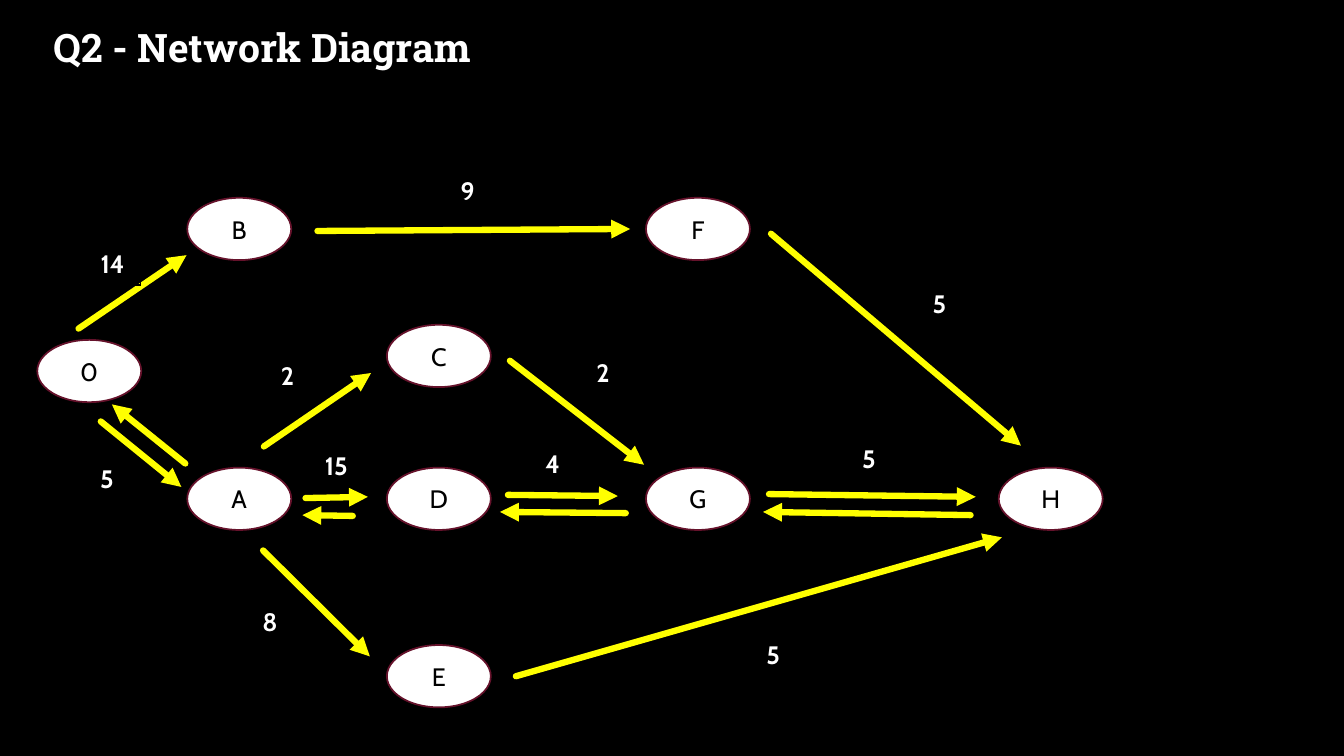
from collections import namedtuple

from lxml.etree import SubElement
from pptx import Presentation
from pptx.dml.color import RGBColor
from pptx.enum.shapes import MSO_CONNECTOR as Connector, MSO_SHAPE as Shape
from pptx.enum.text import MSO_ANCHOR as Anchor, MSO_AUTO_SIZE as AutoSize, PP_ALIGN as Align
from pptx.oxml import parse_xml
from pptx.oxml.ns import nsdecls, qn
from pptx.util import Cm, Pt

COLORS = {
    "background": "000000",
    "node": "FFFFFF",
    "outline": "65122B",
    "node_text": "000000",
    "light_text": "FFFFFF",
    "arrow": "FFFF00",
    "border": "000000",
}
BODY_FONT, TITLE_FONT = "Cabin", "Roboto Slab"
NODE_WIDTH, NODE_HEIGHT = 2.62, 1.57
WEIGHT_HEIGHT = 1.02
WEIGHT_WIDTHS = {1: 1.07, 2: 1.41}  # by number of digits

Box = namedtuple("Box", "left top width height")

# Lengths in cm from the corner of the diagram: node centres
NODES = {
    "0": (1.25, 5.35),
    "B": (5.03, 1.77),
    "A": (5.03, 8.57),
    "C": (10.06, 4.97),
    "D": (10.06, 8.57),
    "E": (10.06, 13.04),
    "F": (16.59, 1.77),
    "G": (16.59, 8.57),
    "H": (25.48, 8.57),
}
# Start and end of each arrow, by the nodes it links
ARROWS = {
    "0B": (0.98, 4.28, 3.70, 2.43),
    "BF": (7.00, 1.82, 14.88, 1.77),
    "FH": (18.43, 1.89, 24.73, 7.23),
    "EH": (12.00, 13.04, 24.25, 9.54),
    "AC": (5.65, 7.25, 8.35, 5.40),
    "CG": (11.85, 5.09, 15.23, 7.71),
    "GH": (18.38, 8.45, 23.59, 8.52),
    "AD": (6.70, 8.55, 8.27, 8.52),
    "DG": (11.80, 8.47, 14.57, 8.50),
    "AE": (5.63, 9.87, 8.32, 12.54),
    "0A": (1.54, 6.62, 3.57, 8.27),
    "A0": (3.67, 7.68, 1.82, 6.19),
    "DA": (7.89, 9.00, 6.62, 8.98),
    "GD": (14.77, 8.93, 11.60, 8.90),
    "HG": (23.46, 8.98, 18.23, 8.90),
}
# Weight of each arrow and the top left corner of its label
WEIGHTS = {
    "0B": ("14", 1.13, 2.15),
    "BF": ("9", 10.25, 0.32),
    "FH": ("5", 22.14, 3.16),
    "CG": ("2", 13.66, 4.89),
    "AC": ("2", 5.71, 4.97),
    "0A": ("5", 1.16, 7.58),
    "AD": ("15", 6.77, 7.23),
    "DG": ("4", 12.39, 7.20),
    "GH": ("5", 20.36, 7.07),
    "AE": ("8", 5.27, 11.16),
    "EH": ("5", 17.95, 12.00),
}


def rgb(role):
    return RGBColor.from_string(COLORS[role])


def write(frame, text, *, color, font=BODY_FONT, size=18, bold=False):
    """Put one centred line of formatted text in a text frame."""
    paragraph = frame.paragraphs[0]
    paragraph.alignment = Align.CENTER
    run = paragraph.add_run()
    run.text = text
    run.font.name, run.font.size, run.font.bold = font, Pt(size), bold
    run.font.color.rgb = rgb(color)


def add_title(slide, box, text):
    title = slide.shapes.title
    title.left, title.top, title.width, title.height = map(Cm, box)
    frame = title.text_frame
    frame.auto_size = AutoSize.NONE
    frame.word_wrap = True
    frame.vertical_anchor = Anchor.TOP
    write(frame, text, color="light_text", font=TITLE_FONT, size=28, bold=True)


def add_node(slide, center_x, center_y, name):
    node = slide.shapes.add_shape(
        Shape.OVAL, Cm(center_x - NODE_WIDTH / 2), Cm(center_y - NODE_HEIGHT / 2),
        Cm(NODE_WIDTH), Cm(NODE_HEIGHT))
    node.shadow.inherit = False
    node.fill.solid()
    node.fill.fore_color.rgb = rgb("node")
    node.line.color.rgb = rgb("outline")
    node.line.width = Pt(1.25)
    node.text_frame.vertical_anchor = Anchor.MIDDLE
    write(node.text_frame, name, color="node_text")


def add_arrow(slide, *ends):
    arrow = slide.shapes.add_connector(Connector.STRAIGHT, *map(Cm, ends))
    arrow.line.color.rgb = rgb("arrow")
    arrow.line.width = Pt(4.5)
    properties = arrow.line._get_or_add_ln()
    properties.set("cap", "rnd")
    SubElement(properties, qn("a:tailEnd"), type="triangle")
    SubElement(arrow._element.spPr, qn("a:effectLst"))


def add_borders(cell):
    properties = cell._tc.get_or_add_tcPr()
    for position, side in enumerate(("lnL", "lnR", "lnT", "lnB")):
        properties.insert(position, parse_xml(
            f'<a:{side} {nsdecls("a")} w="{Pt(1)}"><a:solidFill>'
            f'<a:srgbClr val="{COLORS["border"]}"/></a:solidFill></a:{side}>'))


def add_weight(slide, left, top, weight):
    """Label an arrow with its weight in a one-cell table."""
    width = WEIGHT_WIDTHS[len(weight)]
    table = slide.shapes.add_table(
        1, 1, Cm(left), Cm(top), Cm(width), Cm(WEIGHT_HEIGHT)).table
    table.first_row = table.horz_banding = False
    cell = table.cell(0, 0)
    cell.fill.background()
    add_borders(cell)
    write(cell.text_frame, weight, color="light_text", bold=True)


def add_network(slide, box):
    for name, (x, y) in NODES.items():
        add_node(slide, box.left + x, box.top + y, name)
    for x1, y1, x2, y2 in ARROWS.values():
        add_arrow(slide, box.left + x1, box.top + y1, box.left + x2, box.top + y2)
    for weight, x, y in WEIGHTS.values():
        add_weight(slide, box.left + x, box.top + y, weight)


def main():
    deck = Presentation()
    deck.slide_width, deck.slide_height = Cm(33.87), Cm(19.05)
    slide = deck.slides.add_slide(deck.slide_layouts[5])
    slide.background.fill.solid()
    slide.background.fill.fore_color.rgb = rgb("background")
    add_title(slide, Box(-0.48, 0.46, 14.17, 1.45), "Q2 - Network Diagram")
    add_network(slide, Box(1, 4, 27, 14))
    deck.save("out.pptx")


if __name__ == "__main__":
    main()
